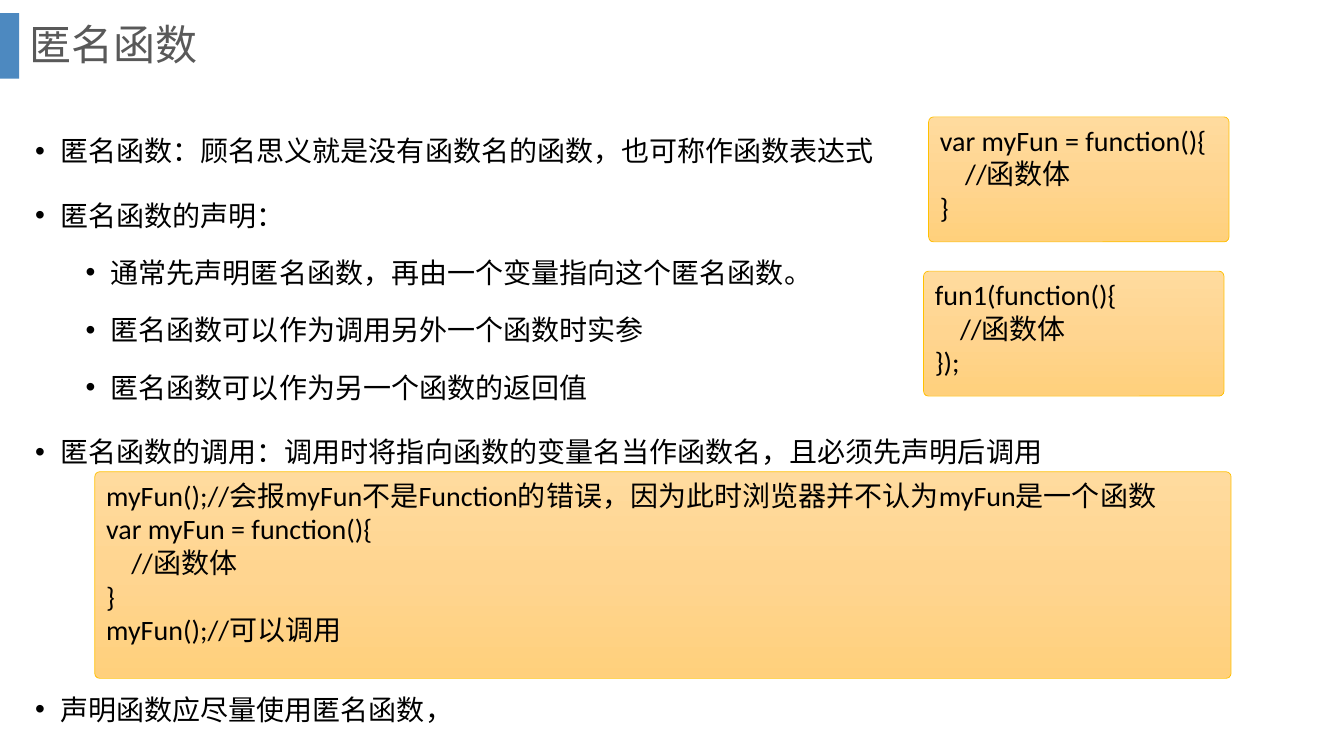
from copy import deepcopy

from lxml import etree
from pptx import Presentation
from pptx.dml.color import RGBColor
from pptx.enum.shapes import MSO_SHAPE
from pptx.enum.text import MSO_ANCHOR, PP_ALIGN
from pptx.oxml.ns import qn
from pptx.util import Inches, Pt

RECT, ROUND = MSO_SHAPE.RECTANGLE, MSO_SHAPE.ROUNDED_RECTANGLE
TOP, MIDDLE = MSO_ANCHOR.TOP, MSO_ANCHOR.MIDDLE
LEFT = PP_ALIGN.LEFT
SANS, CODE = "Noto Sans CJK SC", "Calibri"
STOPS = [(0, "FFDB9E"), (0.5, "FFD590"), (1, "FFD07C")]

# Level, space before in points, text
POINTS = [
    (0, 10, "匿名函数：顾名思义就是没有函数名的函数，也可称作函数表达式"),
    (0, 10, "匿名函数的声明："),
    (1, 5, "通常先声明匿名函数，再由一个变量指向这个匿名函数。"),
    (1, 5, "匿名函数可以作为调用另外一个函数时实参"),
    (1, 5, "匿名函数可以作为另一个函数的返回值"),
    (0, 10, "匿名函数的调用：调用时将指向函数的变量名当作函数名，且必须先声明后调用"),
    (0, 148, "声明函数应尽量使用匿名函数，"),
]
BODY = "//函数体"
CALL = [
    "myFun();//会报myFun不是Function的错误，因为此时浏览器并不认为myFun是一个函数",
    "var myFun = function(){", BODY, "}", "myFun();//可以调用",
]


def color(code):
    """Turn a hex string into a colour."""
    return RGBColor.from_string(code)


def write(frame, lines, font, size, code, anchor=TOP):
    """Fill a text frame and return its paragraphs."""
    frame.word_wrap = True
    frame.vertical_anchor = anchor
    for i, line in enumerate(lines):
        para = frame.add_paragraph() if i else frame.paragraphs[0]
        para.text = line
        para.alignment = LEFT
        para.font.name = font
        para.font.size = Pt(size)
        para.font.color.rgb = color(code)
    return frame.paragraphs


def indent(para, left, first=0):
    """Set the left margin and first line offset of a paragraph."""
    props = para._p.get_or_add_pPr()
    props.set("marL", str(Inches(left)))
    props.set("indent", str(Inches(first)))
    return props


def add_bar(slide):
    """Add the translucent bar beside the title."""
    bar = slide.shapes.add_shape(RECT, 0, Inches(0.13), Inches(0.19), Inches(0.65))
    bar.shadow.inherit = False
    bar.fill.solid()
    bar.fill.fore_color.rgb = color("2E75B6")
    bar.line.fill.background()
    tint = bar._element.spPr.find(".//" + qn("a:srgbClr"))
    etree.SubElement(tint, qn("a:alpha")).set("val", "85000")


def add_title(slide, text):
    """Add the slide title."""
    box = slide.shapes.add_textbox(Inches(0.19), 0, Inches(12.66), Inches(0.93))
    para = write(box.text_frame, [text], SANS, 30, "595959", MIDDLE)[0]
    para.line_spacing = 0.9


def add_list(slide, points):
    """Add the bulleted list."""
    box = slide.shapes.add_textbox(Inches(0.25), Inches(1.11), Inches(12.62), Inches(6.18))
    paras = write(box.text_frame, [text for *_, text in points], SANS, 20, "000000")
    for para, (level, gap, _) in zip(paras, points):
        para.level = level
        para.line_spacing = 1.5
        para.space_before = Pt(gap)
        props = indent(para, 0.25 + 0.5 * level, -0.25)
        etree.SubElement(props, qn("a:buFont")).set("typeface", "Arial")
        etree.SubElement(props, qn("a:buChar")).set("char", "•")
        for rest in props.findall(qn("a:defRPr")):
            props.append(rest)


def add_code(slide, left, top, width, height, lines):
    """Add a rounded code panel with a gradient fill."""
    panel = slide.shapes.add_shape(
        ROUND, Inches(left), Inches(top), Inches(width), Inches(height))
    panel.shadow.inherit = False
    panel.adjustments[0] = 0.05 / height
    panel.fill.gradient()
    panel.fill.gradient_angle = 270
    stops = panel._element.spPr.find(".//" + qn("a:gsLst"))
    stops.append(deepcopy(stops[-1]))
    for stop, (place, code) in zip(panel.fill.gradient_stops, STOPS):
        stop.position = place
        stop.color.rgb = color(code)
    panel.line.color.rgb = color("FFC000")
    panel.line.width = Pt(0.5)
    for para in write(panel.text_frame, lines, CODE, 20, "000000"):
        if para.text == BODY:
            indent(para, 0.25)


def main():
    """Build and save the slide."""
    deck = Presentation()
    deck.slide_width, deck.slide_height = Inches(13.33), Inches(7.5)
    slide = deck.slides.add_slide(deck.slide_layouts[6])
    add_bar(slide)
    add_title(slide, "匿名函数")
    add_list(slide, POINTS)
    add_code(slide, 9.21, 1.16, 2.98, 1.24, ["var myFun = function(){", BODY, "}"])
    add_code(slide, 0.94, 4.68, 11.27, 2.05, CALL)
    add_code(slide, 9.16, 2.69, 2.98, 1.24, ["fun1(function(){", BODY, "});"])
    deck.save("out.pptx")


if __name__ == "__main__":
    main()
